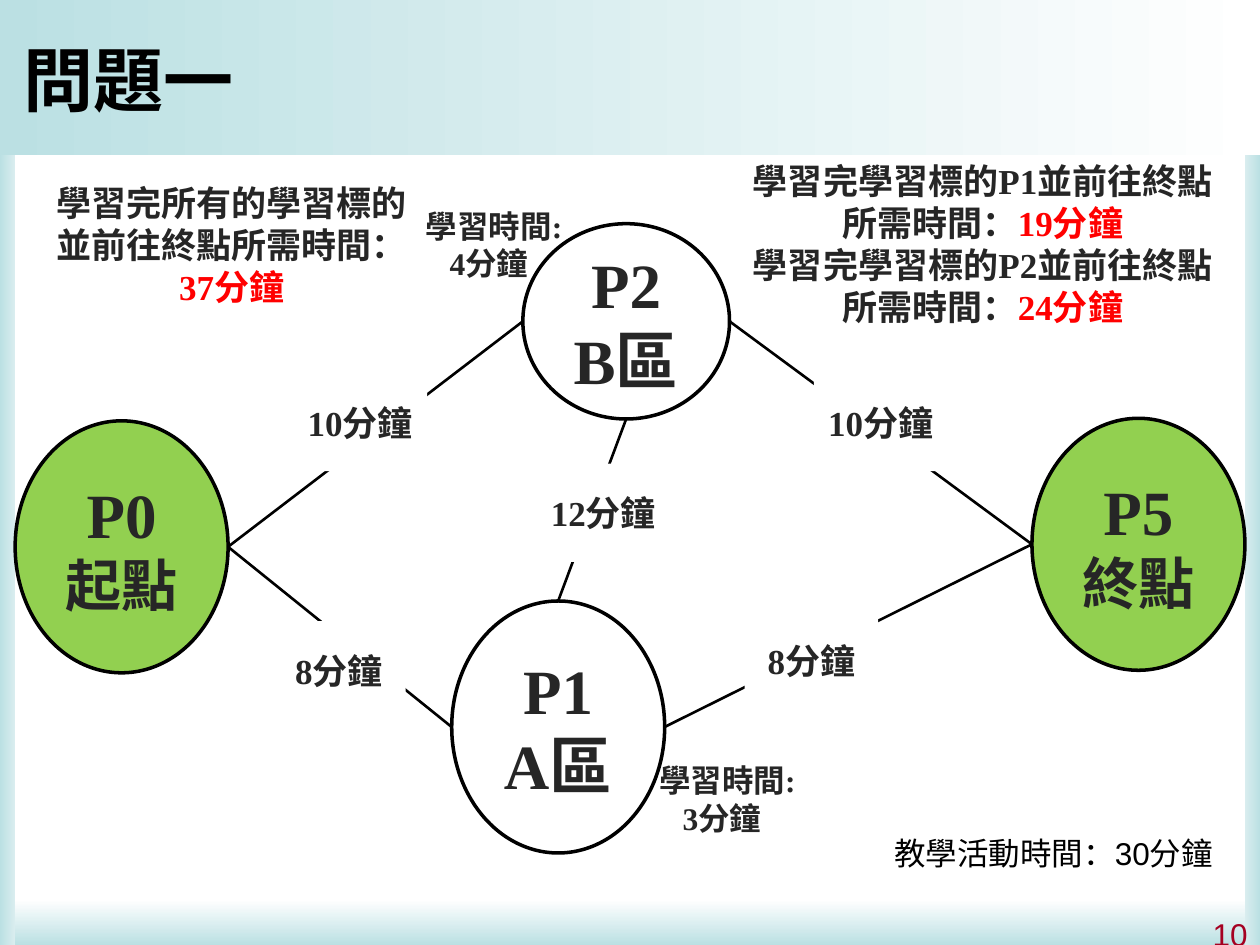
from typing import NamedTuple

from lxml import etree
from pptx import Presentation
from pptx.dml.color import RGBColor
from pptx.enum.shapes import MSO_CONNECTOR, MSO_SHAPE
from pptx.enum.text import MSO_ANCHOR, MSO_AUTO_SIZE, PP_ALIGN
from pptx.oxml.ns import qn
from pptx.util import Inches, Pt

RECT, OVAL = MSO_SHAPE.RECTANGLE, MSO_SHAPE.OVAL
STRAIGHT = MSO_CONNECTOR.STRAIGHT
MIDDLE, TOP = MSO_ANCHOR.MIDDLE, MSO_ANCHOR.TOP
LEFT, CENTER, RIGHT = PP_ALIGN.LEFT, PP_ALIGN.CENTER, PP_ALIGN.RIGHT
NO_FIT = MSO_AUTO_SIZE.NONE

COLS, ROWS = 100, 75
WIDTH, HEIGHT = Inches(10), Inches(7.5)
SERIF, SANS = "Times New Roman", "Arial"
WHITE, BLACK, INK, RED = "FFFFFF", "000000", "262626", "FF0000"
GREEN, TEAL, PALE, MAROON = "92D050", "BBE0E3", "D9EDEF", "A50021"


class Box(NamedTuple):
    col: float
    row: float
    cols: float
    rows: float

    def side(self, name: str) -> tuple[float, float]:
        x, y = {"left": (0, 0.5), "right": (1, 0.5),
                "top": (0.5, 0), "bottom": (0.5, 1)}[name]
        return self.col + x * self.cols, self.row + y * self.rows


class Run(NamedTuple):
    text: str
    color: str = INK
    size: float | None = None


class Band(NamedTuple):
    box: Box
    start: str
    end: str
    angle: int = 0


class Node(NamedTuple):
    box: Box
    fill: str
    paragraphs: list[list[Run]]


class Link(NamedTuple):
    start: str
    start_side: str
    end: str
    end_side: str


class Label(NamedTuple):
    col: float
    row: float
    text: str


BANDS = [
    Band(Box(0, 71.4, 100, 3.6), WHITE, TEAL, 270),
    Band(Box(0, 12.3, 1.2, 62.7), TEAL, PALE),
    Band(Box(0, 0, 100, 12.3), TEAL, WHITE),
    Band(Box(98.8, 12.3, 1.2, 62.7), PALE, TEAL),
]
NODES = {
    "P0": Node(Box(1.2, 33.4, 16.9, 20), GREEN, [[Run("P0"), Run("起點", size=32)]]),
    "P5": Node(Box(81.9, 33.2, 16.9, 20), GREEN, [[Run("P5"), Run("終點", size=32)]]),
    "P1": Node(Box(35.85, 47.7, 16.9, 20), WHITE, [[Run("P1")], [Run("A區")]]),
    "P2": Node(Box(41.5, 17.75, 16.4, 15.5), WHITE, [[Run("P2")], [Run("B區")]]),
}
LINKS = [
    Link("P0", "right", "P1", "left"),
    Link("P5", "left", "P1", "right"),
    Link("P5", "left", "P2", "right"),
    Link("P0", "right", "P2", "left"),
    Link("P1", "top", "P2", "bottom"),
]
TRAVEL_TIMES = [
    Label(21.6, 49.3, "8分鐘"),
    Label(23.3, 29.6, "10分鐘"),
    Label(64.6, 29.6, "10分鐘"),
    Label(59.1, 48.5, "8分鐘"),
    Label(42.6, 36.8, "12分鐘"),
]
STUDY_TIMES = [Label(32.7, 15.5, "4分鐘"), Label(51.2, 59.5, "3分鐘")]


def rgb(color: str) -> RGBColor:
    return RGBColor.from_string(color)


def across(cols: float) -> int:
    return round(WIDTH * cols / COLS)


def down(rows: float) -> int:
    return round(HEIGHT * rows / ROWS)


def place(box: Box) -> tuple[int, int, int, int]:
    return across(box.col), down(box.row), across(box.cols), down(box.rows)


def write(tf, paragraphs: list[list[Run]], *, size: float, font: str = SERIF,
          bold: bool = True, align=CENTER, anchor=MIDDLE, wrap: bool = True) -> None:
    tf.word_wrap, tf.vertical_anchor, tf.auto_size = wrap, anchor, NO_FIT
    for i, runs in enumerate(paragraphs):
        p = tf.paragraphs[0] if i == 0 else tf.add_paragraph()
        p.alignment = align
        for run in runs:
            r = p.add_run()
            r.text = run.text
            r.font.name, r.font.bold = font, bold
            r.font.size = Pt(run.size or size)
            r.font.color.rgb = rgb(run.color)


def add_shape(s, kind, box: Box, fill: str = WHITE, line: str | None = None):
    sp = s.shapes.add_shape(kind, *place(box))
    sp.shadow.inherit = False
    sp.fill.solid()
    sp.fill.fore_color.rgb = rgb(fill)
    if line:
        sp.line.color.rgb = rgb(line)
        sp.line.width = Pt(2)
    else:
        sp.line.fill.background()
    return sp


def add_band(s, band: Band) -> None:
    sp = add_shape(s, RECT, band.box)
    sp.fill.gradient()
    sp.fill.gradient_angle = band.angle
    for stop, color in zip(sp.fill.gradient_stops, (band.start, band.end)):
        stop.color.rgb = rgb(color)


def add_link(s, link: Link) -> None:
    x1, y1 = NODES[link.start].box.side(link.start_side)
    x2, y2 = NODES[link.end].box.side(link.end_side)
    line = s.shapes.add_connector(STRAIGHT, across(x1), down(y1), across(x2), down(y2))
    line.line.color.rgb = rgb(BLACK)
    line.line.width = Pt(1.5)
    etree.SubElement(line.element.spPr, qn("a:effectLst"))


def add_text(s, box: Box, text: str, color: str, align, wrap: bool) -> None:
    tf = s.shapes.add_textbox(*place(box)).text_frame
    write(tf, [[Run(text, color)]], size=18, font=SANS, bold=False,
          align=align, anchor=TOP, wrap=wrap)


def main() -> None:
    prs = Presentation()
    prs.slide_width, prs.slide_height = WIDTH, HEIGHT
    s = prs.slides.add_slide(prs.slide_layouts[5])

    for band in BANDS:
        add_band(s, band)

    title = s.shapes.title
    s.shapes.element.append(title.element)
    title.left, title.top, title.width, title.height = place(Box(0.9, 0.9, 80.3, 10.6))
    write(title.text_frame, [[Run("問題一", BLACK)]], size=40, font=SANS, align=LEFT)

    tf = add_shape(s, RECT, Box(57.9, 15.5, 40.2, 11)).text_frame
    tf.margin_bottom = down(3.8)
    write(tf, [[Run(f"學習完學習標的{name}並前往終點所需時間："), Run(time, RED)]
               for name, time in (("P1", "19分鐘"), ("P2", "24分鐘"))], size=20)
    tf = add_shape(s, RECT, Box(2.5, 13.9, 31.8, 11)).text_frame
    write(tf, [[Run("學習完所有的學習標的並前往終點所需時間："), Run("37分鐘", RED)]], size=20)

    for label in STUDY_TIMES:
        sp = add_shape(s, RECT, Box(label.col, label.row, 12.2, 7.8))
        write(sp.text_frame, [[Run("學習時間:")], [Run(label.text)]], size=18)
    for node in NODES.values():
        sp = add_shape(s, OVAL, node.box, node.fill, BLACK)
        write(sp.text_frame, node.paragraphs, size=36)
    for link in LINKS:
        add_link(s, link)
    for label in TRAVEL_TIMES:
        sp = add_shape(s, RECT, Box(label.col, label.row, 10.6, 7.8))
        write(sp.text_frame, [[Run(label.text)]], size=20)

    add_text(s, Box(70, 65.7, 28.5, 4), "教學活動時間：30分鐘", BLACK, LEFT, False)
    add_text(s, Box(76.7, 72.1, 23.3, 2.9), "10", MAROON, RIGHT, True)
    prs.save("out.pptx")


if __name__ == "__main__":
    main()
